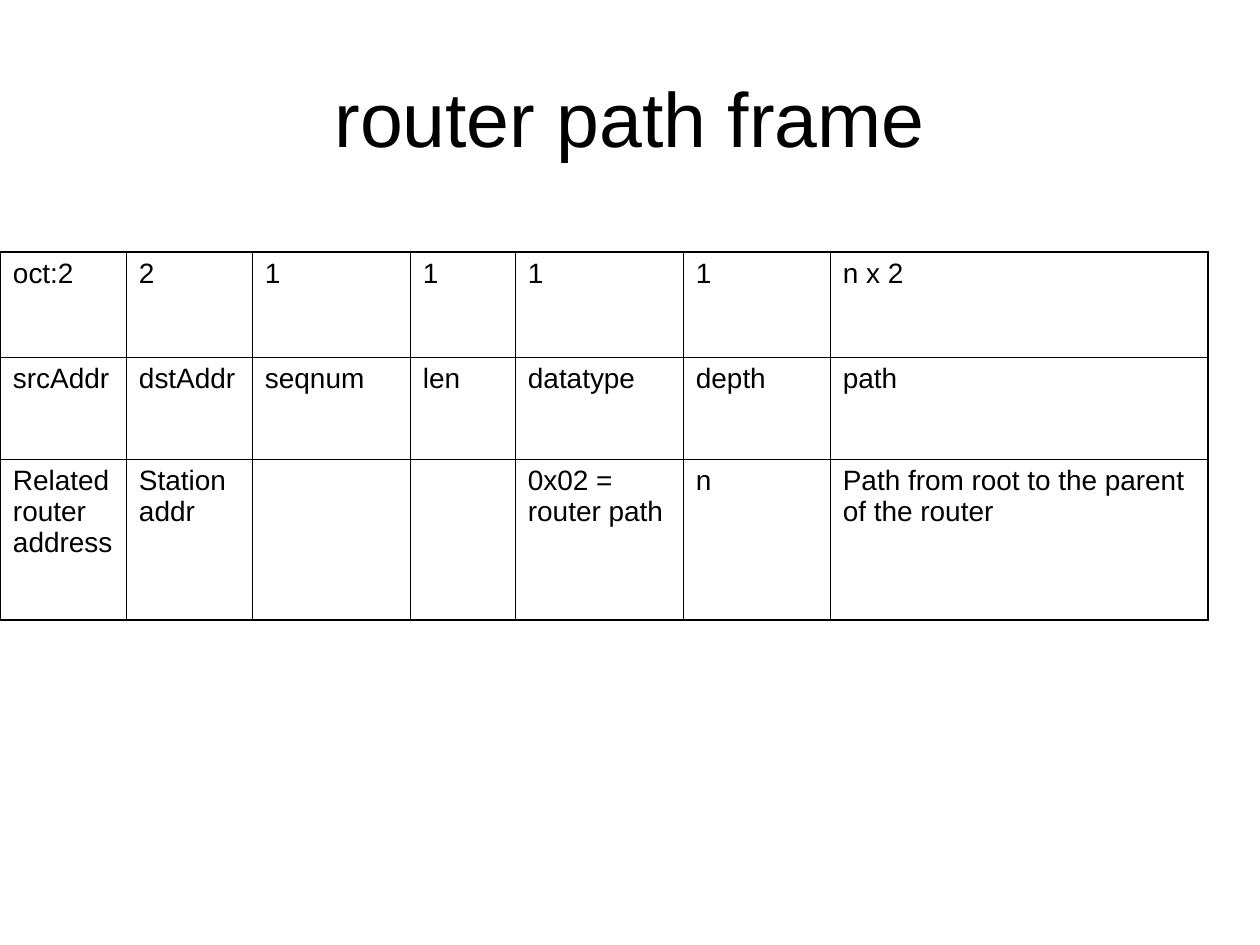
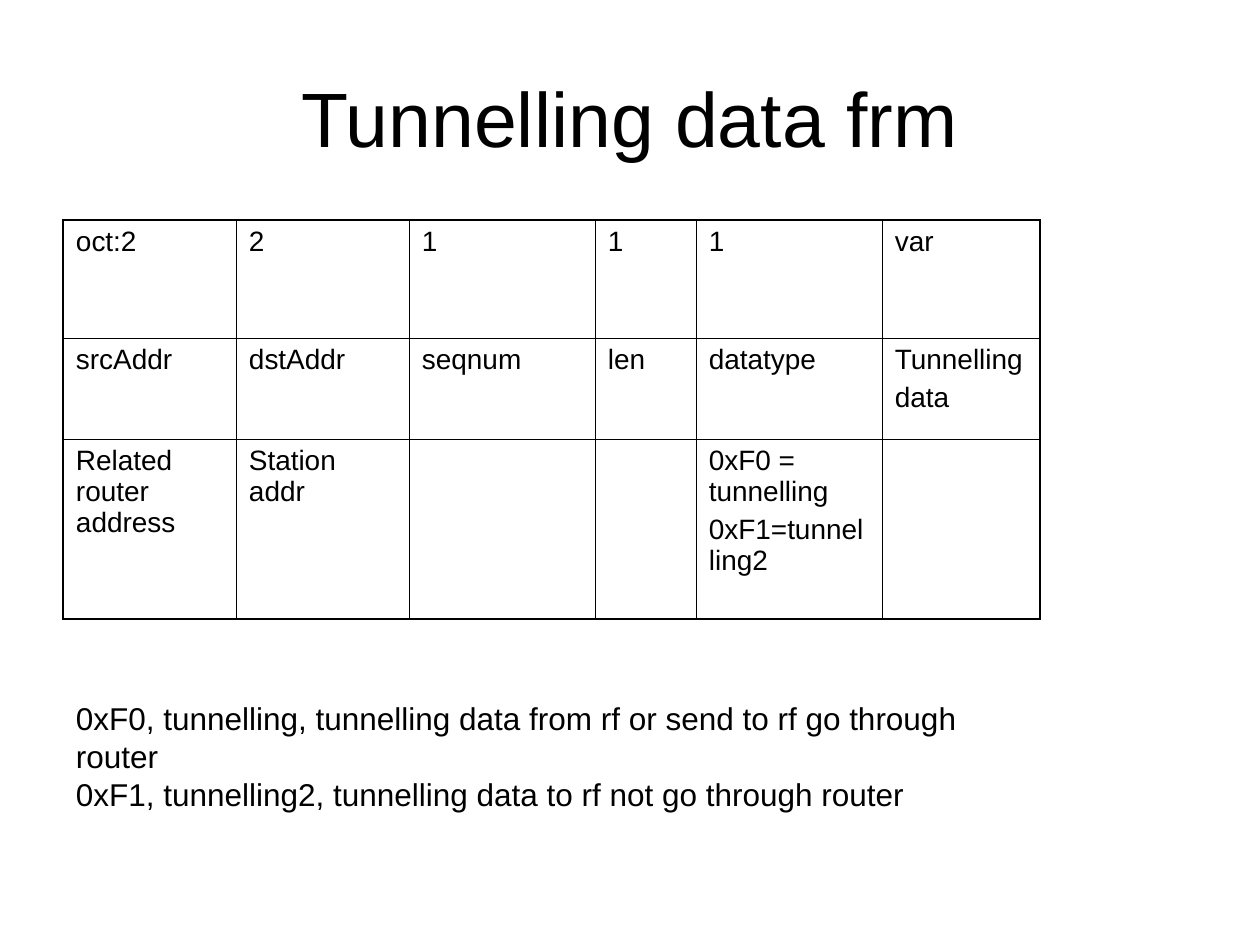
from dataclasses import dataclass

from lxml import etree
from pptx import Presentation
from pptx import util as u
from pptx.dml.color import RGBColor
from pptx.enum import text
from pptx.oxml import ns

# Shared look
SCALE = 914400 / 126  # EMU per px
WIDE, HIGH = 1260, 945
BLACK = RGBColor(0, 0, 0)
WHITE = RGBColor(255, 255, 255)
FACE = "Arial"
THIN, THICK = 0.45, 1.08
TITLE = (63, 38, 1134, 158)
INSET = {"margin_left": 13, "margin_right": 13, "margin_top": 6, "margin_bottom": 6}


@dataclass
class Grid:
    left: int
    top: int
    cols: list[int]
    rows: list[int]
    cells: list[list[str]]


@dataclass
class Note:
    box: tuple[int, int, int, int]
    words: str


@dataclass
class Page:
    title: str
    grid: Grid
    notes: list[Note]


PAGES = [
    Page(
        "router path frame",
        Grid(0, 252, [126, 126, 158, 105, 168, 147, 378], [105, 102, 161], [
            ["oct:2", "2", "1", "1", "1", "1", "n x 2"],
            ["srcAddr", "dstAddr", "seqnum", "len", "datatype", "depth", "path"],
            ["Related router address", "Station addr", "", "",
             "0x02 = router path", "n", "Path from root to the parent of the router"],
        ]),
        [],
    ),
    Page(
        "Tunnelling data frm",
        Grid(63, 220, [173, 173, 186, 101, 186, 158], [118, 101, 180], [
            ["oct:2", "2", "1", "1", "1", "var"],
            ["srcAddr", "dstAddr", "seqnum", "len", "datatype", "Tunnelling\ndata"],
            ["Related router address", "Station addr", "", "",
             "0xF0 = tunnelling\n0xF1=tunnelling2", ""],
        ]),
        [Note((63, 693, 997, 88),
              "0xF0, tunnelling, tunnelling data from rf or send to rf go through router\n"
              "0xF1, tunnelling2, tunnelling data to rf not go through router")],
    ),
]


def px(num: int) -> u.Emu:
    return u.Emu(round(num * SCALE))


def apply(obj, form: dict) -> None:
    for key, val in form.items():
        setattr(obj, key, val)


def write(frame, words: str, size: int, **form) -> None:
    """Fill a text frame, one paragraph a line."""
    frame.text = words
    for para in frame.paragraphs:
        apply(para, form)
        for run in para.runs:
            apply(run.font, {"name": FACE, "size": u.Pt(size)})
            run.font.color.rgb = BLACK


def pad(obj) -> None:
    apply(obj, {key: px(val) for key, val in INSET.items()})


def edge(cell, side: str, width: float) -> None:
    props = cell._tc.get_or_add_tcPr()
    line = etree.SubElement(props, ns.qn(f"a:ln{side}"), w=str(u.Pt(width)))
    fill = etree.SubElement(line, ns.qn("a:solidFill"))
    etree.SubElement(fill, ns.qn("a:srgbClr"), val=str(BLACK))


def add_title(slide, words: str) -> None:
    head = slide.shapes.title
    apply(head, dict(zip(("left", "top", "width", "height"), map(px, TITLE))))
    frame = head.text_frame
    apply(frame, {"word_wrap": True, "auto_size": text.MSO_AUTO_SIZE.NONE,
                  "vertical_anchor": text.MSO_ANCHOR.MIDDLE})
    pad(frame)
    write(frame, words, 44, alignment=text.PP_ALIGN.CENTER)


def add_grid(slide, grid: Grid) -> None:
    deep, wide = len(grid.rows), len(grid.cols)
    box = map(px, (grid.left, grid.top, sum(grid.cols), sum(grid.rows)))
    table = slide.shapes.add_table(deep, wide, *box).table
    apply(table, {"first_row": False, "horz_banding": False})
    for col, width in zip(table.columns, grid.cols):
        col.width = px(width)
    for row, height in zip(table.rows, grid.rows):
        row.height = px(height)
    for r, line in enumerate(grid.cells):
        for c, words in enumerate(line):
            cell = table.cell(r, c)
            pad(cell)
            # The outer frame is heavier than the inner rules
            outer = {"L": c == 0, "R": c == wide - 1, "T": r == 0, "B": r == deep - 1}
            for side, heavy in outer.items():
                edge(cell, side, THICK if heavy else THIN)
            cell.fill.background()
            if words:
                write(cell.text_frame, words, 16, space_before=u.Pt(4))


def add_note(slide, note: Note) -> None:
    frame = slide.shapes.add_textbox(*map(px, note.box)).text_frame
    apply(frame, {"word_wrap": False, "auto_size": text.MSO_AUTO_SIZE.SHAPE_TO_FIT_TEXT})
    pad(frame)
    write(frame, note.words, 18)


def main() -> None:
    deck = Presentation()
    apply(deck, {"slide_width": px(WIDE), "slide_height": px(HIGH)})
    for page in PAGES:
        slide = deck.slides.add_slide(deck.slide_layouts[5])
        fill = slide.background.fill
        fill.solid()
        fill.fore_color.rgb = WHITE
        add_title(slide, page.title)
        add_grid(slide, page.grid)
        for note in page.notes:
            add_note(slide, note)
    deck.save("out.pptx")


if __name__ == "__main__":
    main()
